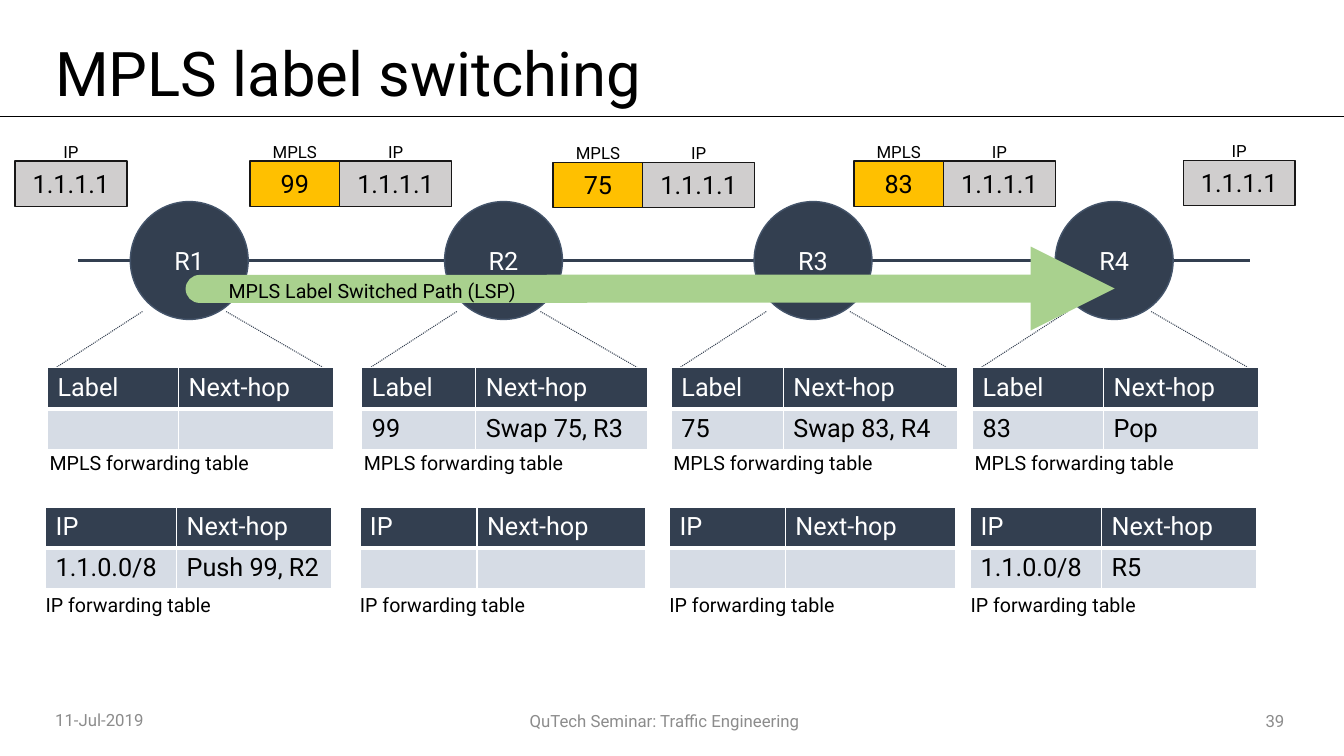
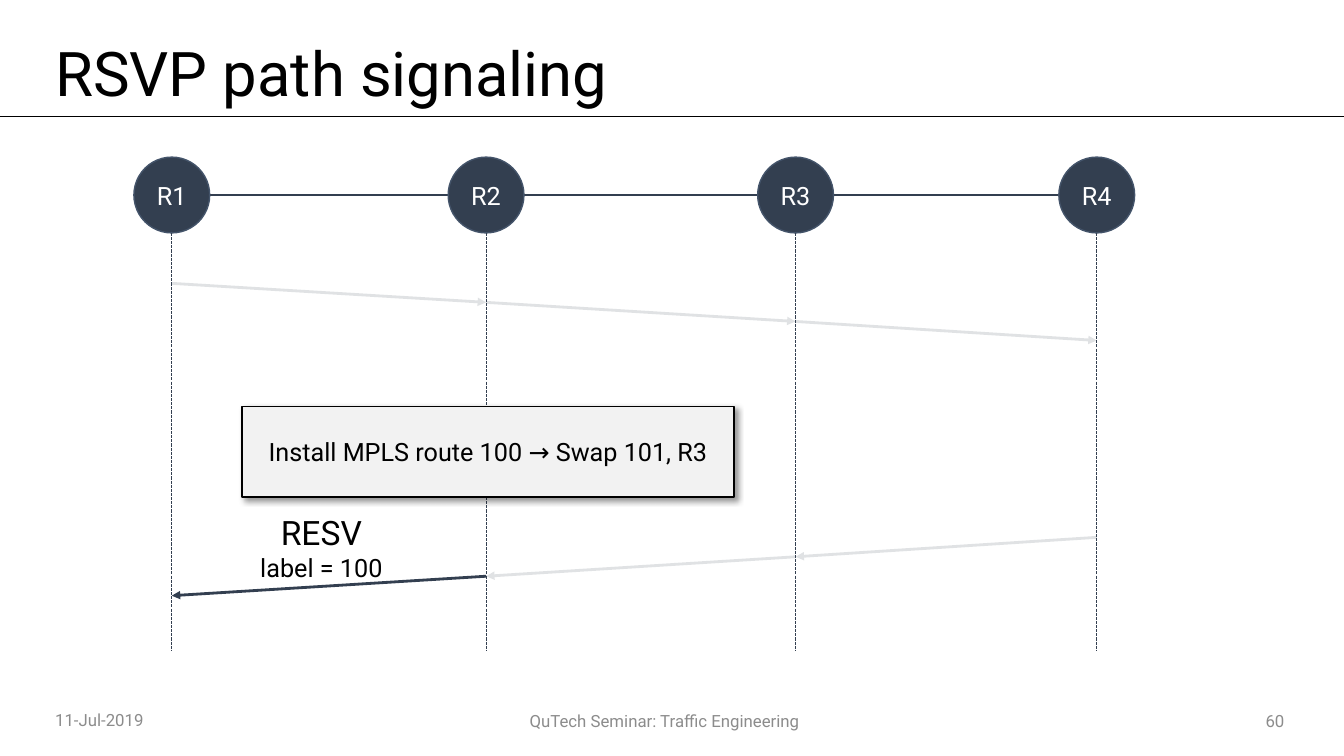
from itertools import cycle

from pptx import Presentation
from pptx import oxml as ox
from pptx import util as u
from pptx.dml import color as dml
from pptx.enum import dml as ink
from pptx.enum import shapes, text

Cm = u.Cm
FONT = "Roboto"
NAVY, EDGE, BLACK, WHITE = "333F50", "44546A", "000000", "FFFFFF"
GREY, PALE, GOLD, SILVER = "8C8C8C", "D6DCE5", "FFC000", "D0CECE"
GREEN, MIST, FRAME = "A9D18E", "F2F2F2", "181717"
WIDTH, HEIGHT = 33.87, 19.05
HUBS = (4.77, 12.69, 20.49, 28.08)
NAMES = ("R1", "R2", "R3", "R4")
NS = 'xmlns:a="http://schemas.openxmlformats.org/drawingml/2006/main"'
ALIGN = {"l": text.PP_ALIGN.LEFT, "c": text.PP_ALIGN.CENTER, "r": text.PP_ALIGN.RIGHT}
DOT, DASH = ink.MSO_LINE.ROUND_DOT, ink.MSO_LINE.SQUARE_DOT


def tint(item, code):
    item.rgb = dml.RGBColor.from_string(code)


def flood(item, code):
    item.fill.solid()
    tint(item.fill.fore_color, code)


def node(xml):
    return ox.parse_xml(xml.replace(" ", f" {NS} ", 1))


def write(frame, words, size=18, color=BLACK, align="l", inset=None, space=None):
    frame.word_wrap = True
    frame.vertical_anchor = text.MSO_ANCHOR.MIDDLE
    if inset is not None:
        frame.margin_left = frame.margin_right = Cm(inset)
        frame.margin_top = frame.margin_bottom = Cm(inset)
    sizes = size if isinstance(size, tuple) else (size,)
    for i, (line, points) in enumerate(zip(words.split("\n"), cycle(sizes))):
        para = frame.add_paragraph() if i else frame.paragraphs[0]
        run = para.add_run()
        run.text = line
        run.font.name, run.font.size = FONT, u.Pt(points)
        tint(run.font.color, color)
        para.alignment = ALIGN[align]
        if space:
            para.line_spacing = space


def label(slide, box, words, **style):
    area = slide.shapes.add_textbox(*map(Cm, box))
    write(area.text_frame, words, **style)


def block(slide, kind, box, words, fill, edge, **style):
    shape = slide.shapes.add_shape(kind, *map(Cm, box))
    shape.shadow.inherit = False
    flood(shape, fill)
    tint(shape.line.color, edge)
    shape.line.width = u.Pt(1)
    write(shape.text_frame, words, align="c", **style)
    return shape


def rule(slide, start, end, color=NAVY, width=2, dash=None, head=False, alpha=None, cap=None):
    link = slide.shapes.add_connector(shapes.MSO_CONNECTOR.STRAIGHT, *map(Cm, start + end))
    tint(link.line.color, color)
    link.line.width = u.Pt(width)
    if dash:
        link.line.dash_style = dash
    stroke = link.line._get_or_add_ln()
    if alpha:
        stroke[0][0].append(node(f'<a:alpha val="{alpha * 1000}"/>'))
    if cap:
        stroke.set("cap", cap)
    if head:
        stroke.append(node('<a:tailEnd type="triangle"/>'))
    link.element.spPr.append(node("<a:effectLst />"))


def base(deck, title, number):
    slide = deck.slides.add_slide(deck.slide_layouts[6])
    rule(slide, (0, 2.92), (WIDTH, 2.92), BLACK, 0.5)
    label(slide, (1.14, 0.91, 31.47, 2.06), title, size=44, space=0.9)
    foot = {"size": 12, "color": GREY}
    label(slide, (4.9, 17.65, 23.7, 1.02), "QuTech Seminar: Traffic Engineering", align="c", **foot)
    label(slide, (28.96, 17.65, 3.66, 1.02), number, align="r", **foot)
    label(slide, (1.14, 17.63, 3.48, 1.02), "11-Jul-2019", **foot)
    return slide


def chain(slide, hubs, top, size, ends=()):
    half = size / 2
    stops = [x + side for x in hubs for side in (-half, half)]
    stops = [ends[0], *stops, ends[1]] if ends else stops[1:-1]
    for left, right in zip(stops[::2], stops[1::2]):
        rule(slide, (left, top + half), (right, top + half))
    for x, name in zip(hubs, NAMES):
        block(slide, shapes.MSO_SHAPE.OVAL, (x - half, top, size, size), name,
              NAVY, EDGE, color=WHITE, inset=0)


def paint(cell, words, fill, color, top, base):
    props = cell._tc.get_or_add_tcPr()
    for side, width in zip("LRTB", (1, 1, top, base)):
        props.append(node(f'<a:ln{side} w="{width * 12700}"><a:solidFill>'
                          f'<a:srgbClr val="{WHITE}"/></a:solidFill></a:ln{side}>'))
    flood(cell, fill)
    if words:
        write(cell.text_frame, words, color=color)
        cell.text_frame.paragraphs[0].runs[0].font.bold = False
    cell.vertical_anchor = text.MSO_ANCHOR.TOP


def grid(slide, left, top, split, rows):
    wide, tall = 7.21, 1.03
    table = slide.shapes.add_table(2, 2, Cm(left), Cm(top), Cm(wide), Cm(2 * tall)).table
    table.horz_banding = False
    for column, width in zip(table.columns, (split, wide - split)):
        column.width = Cm(width)
    looks = ((NAVY, WHITE, 1, 3), (PALE, BLACK, 3, 1))
    for i, (row, look) in enumerate(zip(rows, looks)):
        table.rows[i].height = Cm(tall)
        for j, words in enumerate(row):
            paint(table.cell(i, j), words, *look)


def lookup(slide, hub, top, mpls, ip):
    for near, far in ((-1.18, -3.37), (0.93, 3.39)):
        rule(slide, (hub + near, top - 1.42), (hub + far, top), width=0.75, dash=DOT)
    parts = (("Label", "MPLS", mpls, 0, 1.7, -3.57, -3.77),
             ("IP", "IP", ip, 3.51, 5.28, -3.62, -3.87))
    for key, kind, (split, *row), down, below, left, edge in parts:
        grid(slide, hub + left, top + down, split, ((key, "Next-hop"), row))
        label(slide, (hub + edge, top + below, 5.92, 1.37), f"{kind} forwarding table", size=14)


def packet(slide, left, top, tag):
    parts = [("IP", "1.1.1.1", 2.82, SILVER)]
    if tag:
        parts.insert(0, ("MPLS", tag, 2.26, GOLD))
    for kind, words, width, fill in parts:
        block(slide, shapes.MSO_SHAPE.RECTANGLE, (left, top, width, 1.14), words,
              fill, FRAME, inset=0)
        label(slide, (left, top - 0.81, width, 1.14), kind, size=12, align="c", inset=0)
        left += width


def switching(deck):
    slide = base(deck, "MPLS label switching", "39")
    chain(slide, HUBS, 5.08, 2.97, (1.96, 31.5))
    entries = (
        ((3.3, "", ""), (3.3, "1.1.0.0/8", "Push 99, R2")),
        ((2.87, "99", "Swap 75, R3"), (2.95, "", "")),
        ((2.82, "75", "Swap 83, R4"), (2.92, "", "")),
        ((3.3, "83", "Pop"), (3.3, "1.1.0.0/8", "R5")),
    )
    for hub, entry in zip(HUBS, entries):
        lookup(slide, hub, 9.27, *entry)
    packets = ((0.38, 4.06, ""), (6.3, 4.06, "99"), (13.94, 4.09, "75"),
               (21.52, 4.06, "83"), (29.82, 4.04, ""))
    for spot in packets:
        packet(slide, *spot)
    rule(slide, (5.03, 7.28), (28.09, 7.27), GREEN, 20, head=True, cap="rnd")
    label(slide, (4.09, 6.63, 10.59, 1.37), "MPLS Label Switched Path (LSP)", size=14, align="c")


def relay(slide, stops, top, step, lit=()):
    for i, (start, end) in enumerate(zip(stops, stops[1:])):
        rule(slide, (start, top + i * step), (end, top + (i + 1) * step),
             head=True, alpha=None if i in lit else 15)


def notice(slide, box, words):
    shape = block(slide, shapes.MSO_SHAPE.RECTANGLE, box, words, MIST, BLACK, inset=0.25)
    shape.element.spPr[-1].append(node(
        '<a:outerShdw blurRad="50800" dist="38100" dir="2700000" algn="tl" rotWithShape="0">'
        f'<a:srgbClr val="{BLACK}"><a:alpha val="40000"/></a:srgbClr></a:outerShdw>'))


def signaling(deck):
    slide = base(deck, "RSVP path signaling", "60")
    hubs = [x - 0.44 for x in HUBS]
    chain(slide, hubs, 3.96, 1.91)
    for x in hubs:
        rule(slide, (x, 5.87), (x, 16.38), width=0.75, dash=DASH)
    relay(slide, hubs, 7.14, 0.48)
    relay(slide, hubs[::-1], 13.54, 0.49, lit=(2,))
    label(slide, (5.56, 12.75, 5.08, 2.06), "RESV\nlabel = 100", size=(24, 18),
          align="c", inset=0.25)
    notice(slide, (6.1, 10.24, 12.4, 2.29), "Install MPLS route 100 → Swap 101, R3")


def main():
    deck = Presentation()
    deck.slide_width, deck.slide_height = Cm(WIDTH), Cm(HEIGHT)
    switching(deck)
    signaling(deck)
    deck.save("out.pptx")


if __name__ == "__main__":
    main()
